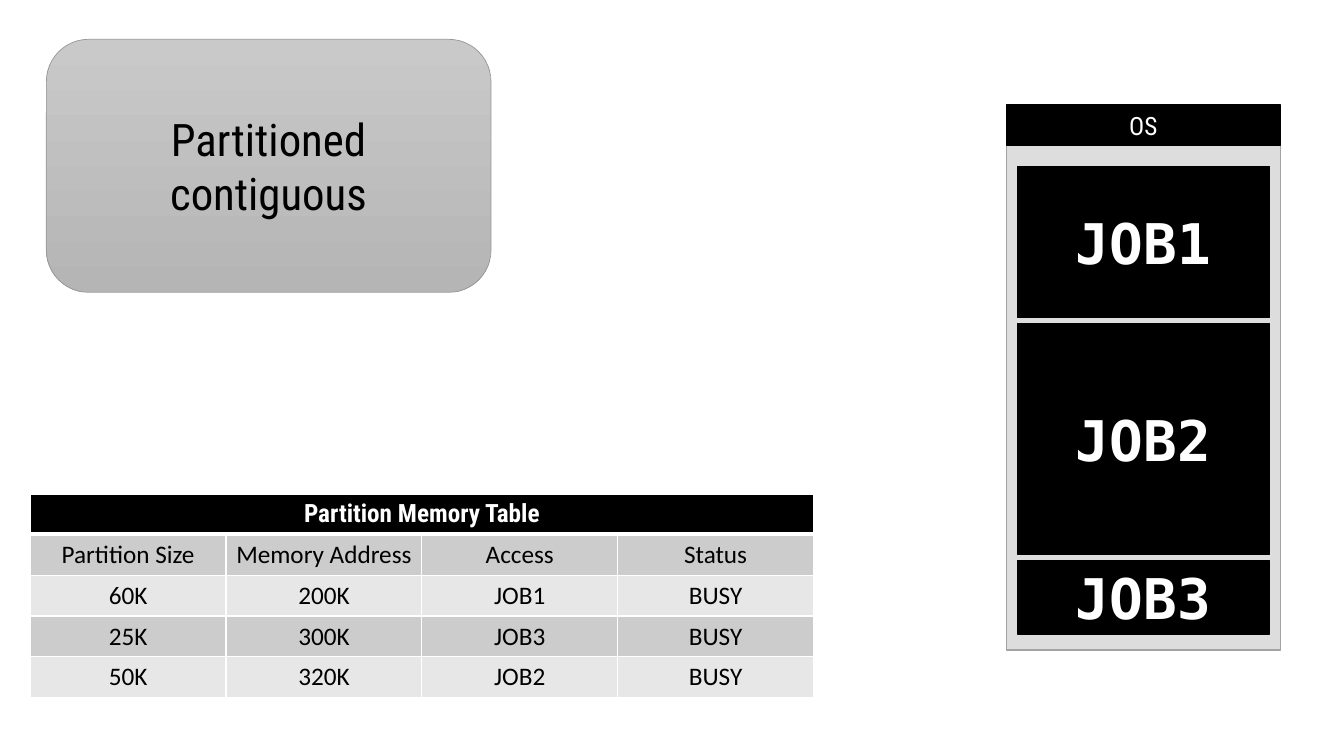
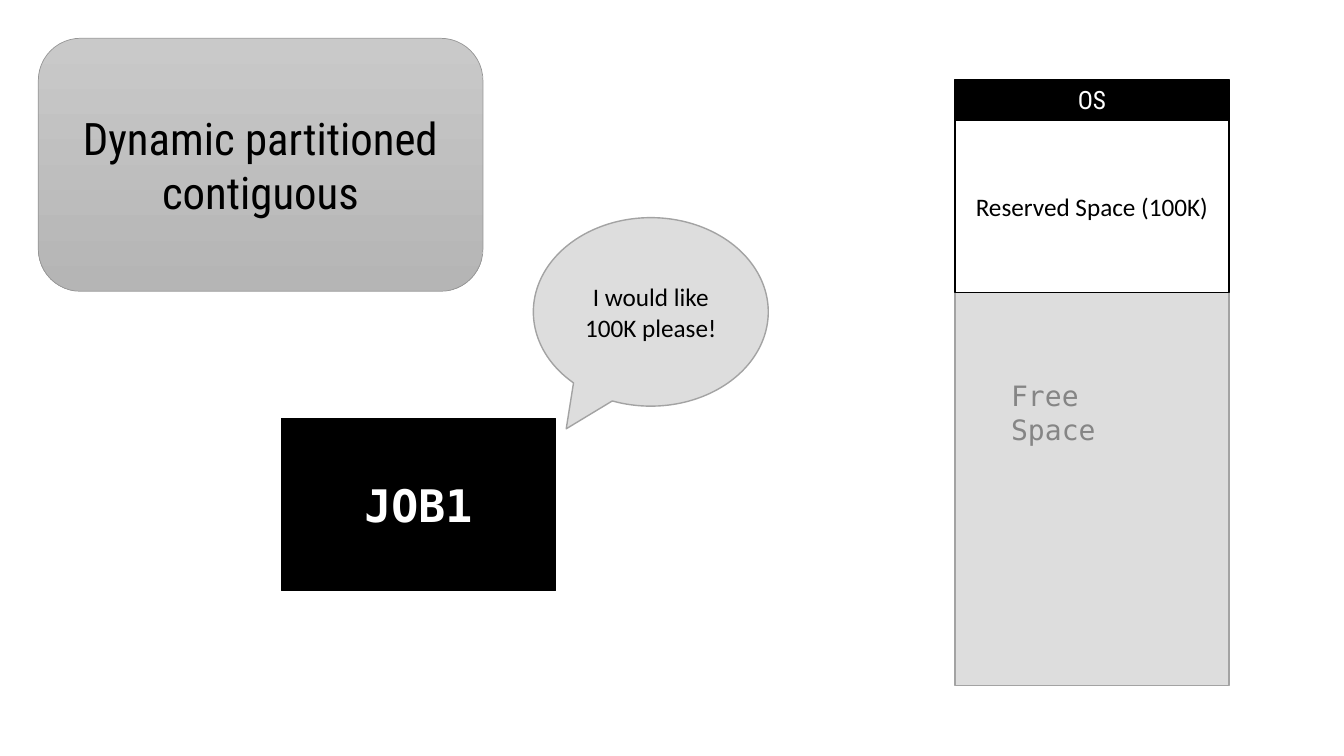
from lxml import etree
from pptx import Presentation, util as u
from pptx.dml.color import RGBColor
from pptx.enum import shapes as sh, text as tx
from pptx.oxml import ns

COLORS = {
    "black": "000000", "white": "FFFFFF", "panel": "DDDDDD", "edge": "A3A3A3",
    "top": "C9C9C9", "base": "B5B5B5", "rim": "969696", "hint": "858585",
    "odd": "CCCCCC", "even": "E7E7E7",
}
HEAD, BODY, MONO = "Roboto Condensed", "Calibri", "DejaVu Sans Mono"
KIND = sh.MSO_SHAPE
BAR = 0.4           # height of the OS bar
BLOCK = (2.72, 1.71)  # width and height of a 100K block


def rgb(name):
    return RGBColor.from_string(COLORS[name])


def inches(box):
    return [u.Inches(v) for v in box]


def write(frame, words, size, font, color, bold=False,
          align=tx.PP_ALIGN.CENTER):
    frame.text = words
    for para in frame.paragraphs:
        para.alignment = align
        for run in para.runs:
            run.font.size, run.font.name = u.Pt(size), font
            run.font.bold = bold
            run.font.color.rgb = rgb(color)


def shape(slide, box, fill, line, kind=KIND.RECTANGLE, width=1):
    item = slide.shapes.add_shape(kind, *inches(box))
    item.shadow.inherit = False
    item.fill.solid()
    item.fill.fore_color.rgb = rgb(fill)
    item.line.color.rgb = rgb(line)
    item.line.width = u.Pt(width)
    item.text_frame.word_wrap = True
    item.text_frame.vertical_anchor = tx.MSO_ANCHOR.MIDDLE
    return item


def title(slide, left, top, words):
    card = shape(slide, (left, top, 4.41, 2.51), "top", "rim",
                 KIND.ROUNDED_RECTANGLE, 0.5)
    card.fill.gradient()
    card.fill.gradient_angle = 270
    for stop, name in zip(card.fill.gradient_stops, ("top", "base")):
        stop.color.rgb = rgb(name)
    write(card.text_frame, words, 32, HEAD, "black")


def memory(slide, box):
    """Memory column: a grey panel under the OS bar."""
    left, top, wide, high = box
    shape(slide, (left, top + BAR, wide, high - BAR), "panel", "edge")
    bar = shape(slide, (left, top, wide, BAR), "black", "black")
    write(bar.text_frame, "OS", 18, HEAD, "white")


def job(slide, box, name, size):
    block = shape(slide, box, "black", "black")
    write(block.text_frame, name, size, MONO, "white", True)


def edge(cell, side, width):
    """Draw one white cell border."""
    line = etree.Element(ns.qn("a:ln" + side), w=str(u.Pt(width)))
    fill = etree.SubElement(line, ns.qn("a:solidFill"))
    etree.SubElement(fill, ns.qn("a:srgbClr"), val=COLORS["white"])
    cell._tc.get_or_add_tcPr().insert("LRTB".index(side), line)


def table(slide, box, head, rows):
    count = len(rows[0])
    grid = slide.shapes.add_table(len(rows) + 1, count, *inches(box)).table
    for r, row in enumerate([[head] + [""] * (count - 1)] + rows):
        for c, words in enumerate(row):
            cell = grid.cell(r, c)
            cell.fill.solid()
            fill = ("even", "odd")[r % 2] if r else "black"
            cell.fill.fore_color.rgb = rgb(fill)
            for side in "LRTB":
                thick = (r, side) in ((0, "B"), (1, "T"))
                edge(cell, side, 3 if thick else 1)
            if r:
                write(cell.text_frame, words, 18, BODY, "black")
    grid.cell(0, 0).merge(grid.cell(0, count - 1))
    write(grid.cell(0, 0).text_frame, head, 18, HEAD, "white", True)


def fixed(slide):
    """Fixed partitions: one job in each."""
    title(slide, 0.46, 0.39, "Partitioned contiguous")
    left, top, wide = 9.98, 1.04, BLOCK[0]
    memory(slide, (left, top, wide, 5.41))
    inset, gap, y = 0.11, 0.06, top + 0.61
    for name, high in (("JOB1", 1.5), ("JOB2", 2.29), ("JOB3", 0.73)):
        job(slide, (left + inset, y, wide - 2 * inset, high), name, 40)
        y += high + gap
    table(slide, (0.3, 4.9, 7.77, 2), "Partition Memory Table", [
        ["Partition Size", "Memory Address", "Access", "Status"],
        ["60K", "200K", "JOB1", "BUSY"],
        ["25K", "300K", "JOB3", "BUSY"],
        ["50K", "320K", "JOB2", "BUSY"],
    ])


def dynamic(slide):
    """Dynamic partitions: a job asks for space."""
    title(slide, 0.38, 0.38, "Dynamic partitioned contiguous")
    left, top = 9.47, 0.79
    memory(slide, (left, top, BLOCK[0], 6.01))
    job(slide, (2.79, 4.15, *BLOCK), "JOB1", 32)

    # Free part of the memory
    note = slide.shapes.add_textbox(*inches((left + 0.46, 3.71, 1.79, 0.78)))
    note.text_frame.word_wrap = True
    write(note.text_frame, "Free Space", 20, MONO, "hint",
          align=tx.PP_ALIGN.LEFT)

    # Request and the space it gets
    call = shape(slide, (5.29, 2.16, 2.33, 1.87), "panel", "edge",
                 KIND.OVAL_CALLOUT)
    call.adjustments[0], call.adjustments[1] = -0.36, 0.62
    write(call.text_frame, "I would like 100K please!", 18, BODY, "black")
    space = shape(slide, (left, top + BAR, *BLOCK), "white", "black")
    write(space.text_frame, "Reserved Space (100K)", 18, BODY, "black")


def main():
    deck = Presentation()
    deck.slide_width, deck.slide_height = inches((13.33, 7.5))
    for build in (fixed, dynamic):
        build(deck.slides.add_slide(deck.slide_layouts[6]))
    deck.save("out.pptx")


if __name__ == "__main__":
    main()
